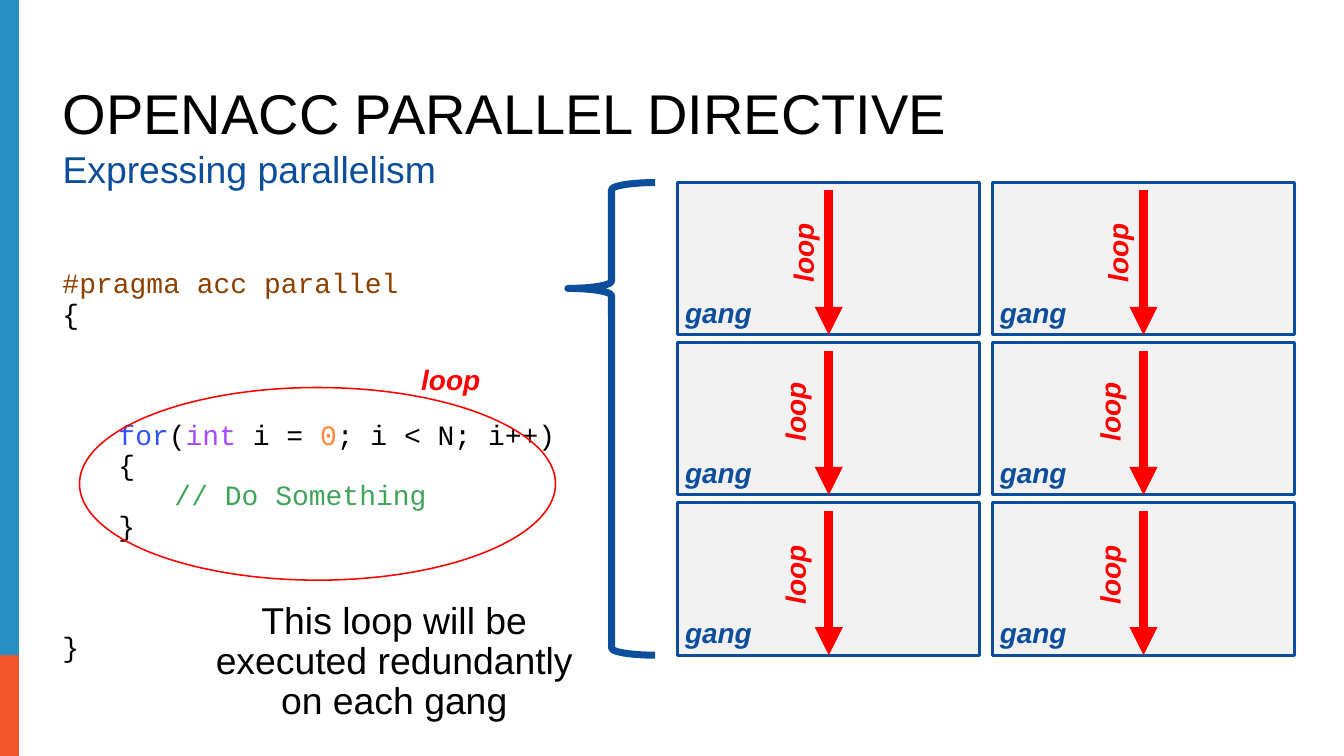
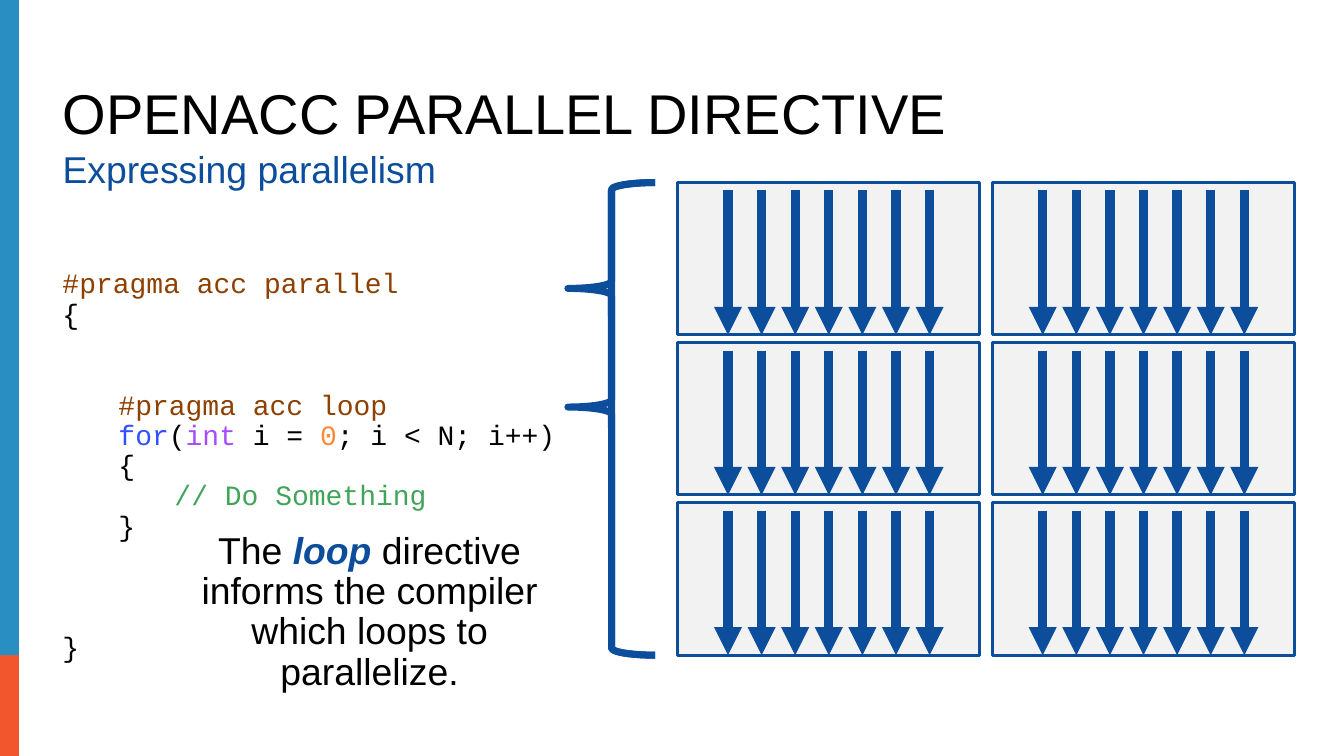
from dataclasses import dataclass
from itertools import product

from lxml.etree import SubElement
from pptx import Presentation
from pptx.dml.color import RGBColor
from pptx.enum.shapes import MSO_CONNECTOR, MSO_SHAPE
from pptx.enum.text import MSO_ANCHOR, MSO_AUTO_SIZE, PP_ALIGN
from pptx.oxml.ns import qn
from pptx.util import Emu, Pt

PX = 9144  # EMU per px, 100 px to the inch


@dataclass(frozen=True)
class Theme:
    black: str = "000000"
    blue: str = "0C4E9B"
    red: str = "FF0000"
    panel: str = "F2F2F2"
    band_blue: str = "298EC2"
    band_orange: str = "F1562D"
    pragma: str = "8E4000"
    keyword: str = "3051FF"
    type_name: str = "A64CFF"
    number: str = "FF8738"
    comment: str = "40A459"
    sans: str = "Arial"
    mono: str = "Courier New"
    title_size: int = 36
    text_size: int = 24
    small_size: int = 18
    line_spacing: float = 0.9
    code_pitch: float = 19.5


@dataclass(frozen=True)
class Box:
    left: int
    top: int
    width: int
    height: int

    def emu(self) -> tuple:
        return tuple(Emu(value * PX) for value in
                     (self.left, self.top, self.width, self.height))


@dataclass(frozen=True)
class Run:
    text: str
    color: str
    strong: bool = False


@dataclass(frozen=True)
class CodeLine:
    runs: tuple
    level: int = 0
    skipped: int = 0  # empty lines above


THEME = Theme()

# Shared positions
TITLE_BOX = Box(46, 71, 1091, 65)
SUBTITLE_BOX = Box(46, 130, 1091, 57)
CODE_BOX = Box(46, 234, 474, 365)
BRACE_BOX = Box(507, 163, 78, 422)
BANDS = ((Box(-3, 507, 20, 168), THEME.band_orange),
         (Box(-3, 0, 20, 585), THEME.band_blue))
INDENT = 50

# Gang grid: two columns, three rows
GANGS = [Box(605 + 281 * column, 163 + 143 * row, 270, 136)
         for row, column in product(range(3), range(2))]
ARROW_INSET, ARROW_STEP = 7, 30
LOOP_OFFSETS = ((77, 44), (70, 43), (70, 46))  # one per row

# Code parts
PRAGMA_PARALLEL = CodeLine((Run("#pragma acc parallel", THEME.pragma),))
PRAGMA_LOOP = CodeLine((Run("#pragma acc loop", THEME.pragma),), 1, 2)
OPEN = (Run("{", THEME.black),)
CLOSE = (Run("}", THEME.black),)
FOR = (Run("for", THEME.keyword), Run("(", THEME.black),
       Run("int ", THEME.type_name), Run("i = ", THEME.black),
       Run("0", THEME.number), Run("; i < N; i++)", THEME.black))
LOOP_BODY = (CodeLine(OPEN, 1),
             CodeLine((Run("// Do Something", THEME.comment),), 2),
             CodeLine(CLOSE, 1), CodeLine(CLOSE, 0, 3))
START = (PRAGMA_PARALLEL, CodeLine(OPEN))
PLAIN_CODE = (*START, CodeLine(FOR, 1, 3), *LOOP_BODY)
LOOP_CODE = (*START, PRAGMA_LOOP, CodeLine(FOR, 1), *LOOP_BODY)


def color(value: str) -> RGBColor:
    return RGBColor.from_string(value)


def style_paragraph(paragraph, size: int, shade: str, name: str = THEME.sans,
                    align=PP_ALIGN.LEFT) -> None:
    paragraph.alignment = align
    paragraph.line_spacing = THEME.line_spacing
    paragraph.font.name = name
    paragraph.font.size = Pt(size)
    paragraph.font.color.rgb = color(shade)


def add_runs(paragraph, runs: tuple) -> None:
    for part in runs:
        run = paragraph.add_run()
        run.text = part.text
        run.font.color.rgb = color(part.color)
        if part.strong:
            run.font.bold = run.font.italic = True


def add_text_frame(slide, box: Box, anchor=MSO_ANCHOR.MIDDLE, wrap: bool = True):
    shape = slide.shapes.add_textbox(*box.emu())
    frame = shape.text_frame
    frame.word_wrap = wrap
    frame.vertical_anchor = anchor
    return shape, frame


def add_shape(slide, kind, box: Box, fill: str = "", line: str = "",
              weight: float = 1):
    shape = slide.shapes.add_shape(kind, *box.emu())
    shape.shadow.inherit = False
    if fill:
        shape.fill.solid()
        shape.fill.fore_color.rgb = color(fill)
    else:
        shape.fill.background()
    if line:
        shape.line.color.rgb = color(line)
        shape.line.width = Pt(weight)
    else:
        shape.line.fill.background()
    return shape


def add_frame(slide) -> None:
    """Side bands, title and subtitle."""
    for box, fill in BANDS:
        add_shape(slide, MSO_SHAPE.RECTANGLE, box, fill)
    title = slide.shapes.title
    title.left, title.top, title.width, title.height = TITLE_BOX.emu()
    title.text_frame.text = "OPENACC PARALLEL DIRECTIVE"
    title.text_frame.vertical_anchor = MSO_ANCHOR.BOTTOM
    title.text_frame.auto_size = MSO_AUTO_SIZE.NONE
    style_paragraph(title.text_frame.paragraphs[0], THEME.title_size, THEME.black)
    _, frame = add_text_frame(slide, SUBTITLE_BOX, MSO_ANCHOR.TOP)
    frame.text = "Expressing parallelism"
    style_paragraph(frame.paragraphs[0], THEME.text_size, THEME.blue)


def add_code(slide, lines: tuple) -> None:
    _, frame = add_text_frame(slide, CODE_BOX)
    for index, line in enumerate(lines):
        paragraph = frame.add_paragraph() if index else frame.paragraphs[0]
        style_paragraph(paragraph, THEME.small_size, THEME.black, THEME.mono)
        if line.skipped:
            paragraph.space_before = Pt(line.skipped * THEME.code_pitch)
        if line.level:
            properties = paragraph._p.get_or_add_pPr()
            properties.set("marL", str(line.level * INDENT * PX))
            properties.set("indent", "0")
        add_runs(paragraph, line.runs)


def add_brace(slide, point: float) -> None:
    brace = add_shape(slide, MSO_SHAPE.LEFT_BRACE, BRACE_BOX, "", THEME.blue, 4.5)
    brace.adjustments[0] = 0.083
    brace.adjustments[1] = point


def add_arrow(slide, panel, gang: Box, offset: int, shade: str) -> None:
    """Arrow down to the panel's lower edge, offset from its middle."""
    x = (gang.left + gang.width // 2 + offset) * PX
    connector = slide.shapes.add_connector(
        MSO_CONNECTOR.STRAIGHT, Emu(x), Emu((gang.top + ARROW_INSET) * PX),
        Emu(x), Emu((gang.top + gang.height) * PX))
    connector.line.color.rgb = color(shade)
    connector.line.width = Pt(6)
    properties = connector.element.spPr
    SubElement(properties.find(qn("a:ln")), qn("a:tailEnd"), type="triangle")
    SubElement(properties, qn("a:effectLst"))
    if offset == 0:
        connector.end_connect(panel, 2)


def add_gangs(slide, offsets: range, shade: str) -> None:
    for gang in GANGS:
        panel = add_shape(slide, MSO_SHAPE.RECTANGLE, gang, THEME.panel,
                          THEME.blue, 2)
        for offset in offsets:
            add_arrow(slide, panel, gang, offset, shade)


def add_label(slide, text: str, box: Box, shade: str, rotation: int = 0) -> None:
    shape, frame = add_text_frame(slide, box, wrap=False)
    shape.rotation = rotation
    frame.text = text
    paragraph = frame.paragraphs[0]
    style_paragraph(paragraph, THEME.small_size, shade, align=PP_ALIGN.CENTER)
    paragraph.font.bold = paragraph.font.italic = True


def add_remark(slide, box: Box, *runs: Run) -> None:
    _, frame = add_text_frame(slide, box)
    paragraph = frame.paragraphs[0]
    style_paragraph(paragraph, THEME.text_size, THEME.black,
                    align=PP_ALIGN.CENTER)
    add_runs(paragraph, runs)


def build_redundant_slide(slide) -> None:
    add_frame(slide)
    add_code(slide, PLAIN_CODE)
    add_gangs(slide, range(1), THEME.red)
    add_brace(slide, 0.224)
    add_shape(slide, MSO_SHAPE.OVAL, Box(71, 346, 425, 172), "", THEME.red)
    add_remark(slide, Box(161, 532, 382, 119),
               Run("This loop will be executed redundantly on each gang",
                   THEME.black))
    # Labels in the gangs and at the ellipse
    for index, gang in enumerate(GANGS):
        right, down = LOOP_OFFSETS[index // 2]
        add_label(slide, "gang", Box(gang.left - 4, gang.top + 99, 81, 37),
                  THEME.blue)
        add_label(slide, "loop", Box(gang.left + right, gang.top + down, 73, 37),
                  THEME.red, 270)
    add_label(slide, "loop", Box(366, 322, 73, 37), THEME.red)


def build_loop_slide(slide) -> None:
    add_frame(slide)
    add_code(slide, LOOP_CODE)
    for point in (0.224, 0.475):
        add_brace(slide, point)
    add_gangs(slide, range(-3 * ARROW_STEP, 4 * ARROW_STEP, ARROW_STEP),
              THEME.blue)
    add_remark(slide, Box(147, 469, 366, 156), Run("The ", THEME.black),
               Run("loop", THEME.blue, True),
               Run(" directive informs the compiler which loops to parallelize.",
                   THEME.black))


def main() -> None:
    presentation = Presentation()
    presentation.slide_width = Emu(1200 * PX)
    presentation.slide_height = Emu(675 * PX)
    title_only = presentation.slide_layouts[5]
    for build in (build_redundant_slide, build_loop_slide):
        build(presentation.slides.add_slide(title_only))
    presentation.save("out.pptx")


if __name__ == "__main__":
    main()
